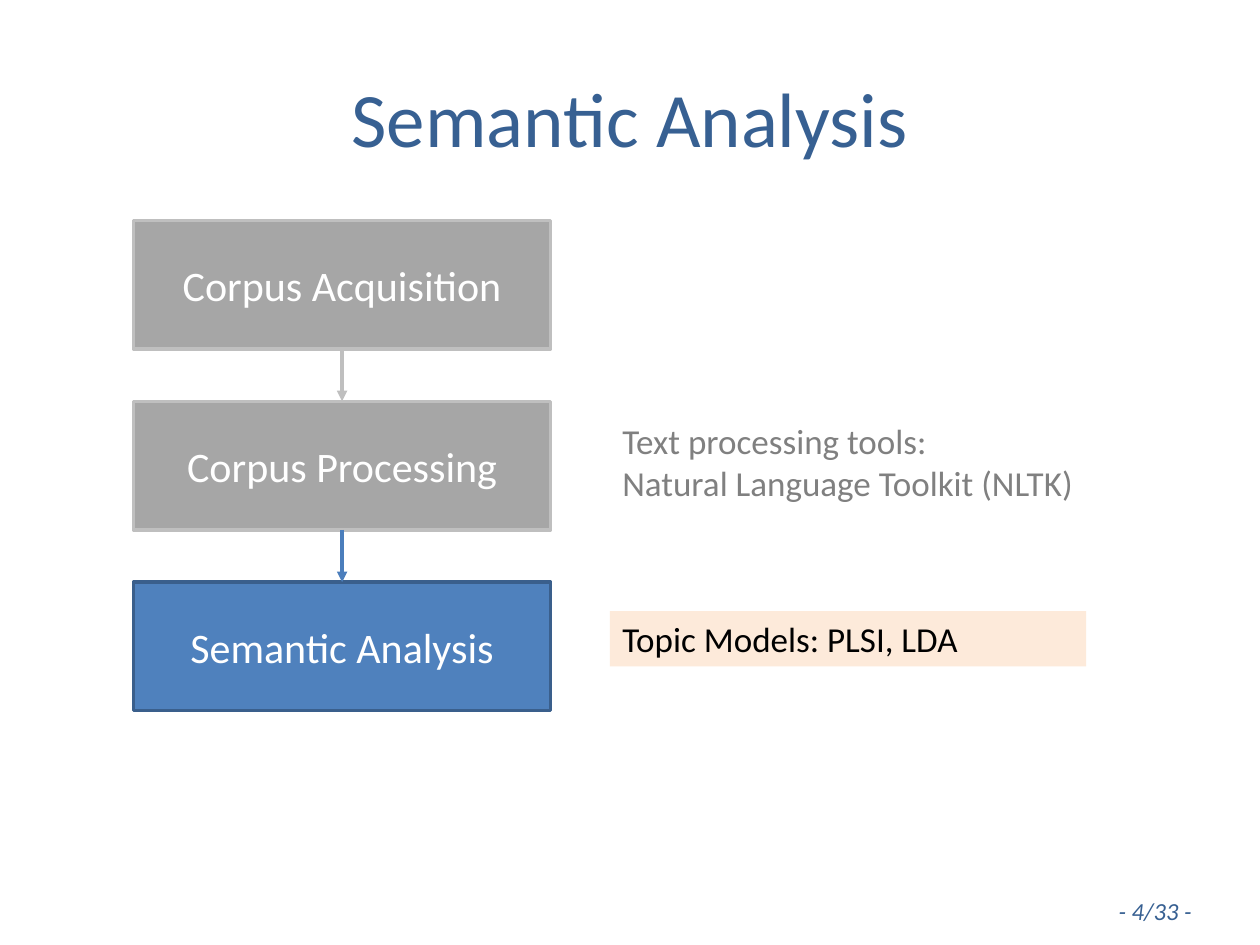
from lxml import etree
from pptx import Presentation
from pptx.dml.color import RGBColor
from pptx.enum.shapes import MSO_CONNECTOR, MSO_SHAPE
from pptx.enum.text import MSO_ANCHOR, PP_ALIGN
from pptx.oxml.ns import qn
from pptx.util import Inches, Pt

FONT = "Calibri"
TITLE_BLUE = RGBColor(0x37, 0x60, 0x92)
STEP_BLUE = RGBColor(0x4F, 0x81, 0xBD)
STEP_BORDER = RGBColor(0x3A, 0x5F, 0x8C)
ARROW_BLUE = RGBColor(0x4B, 0x7E, 0xBC)
STEP_GRAY = RGBColor(0xA6, 0xA6, 0xA6)
LIGHT_GRAY = RGBColor(0xBF, 0xBF, 0xBF)
NOTE_GRAY = RGBColor(0x80, 0x80, 0x80)
PEACH = RGBColor(0xFD, 0xEA, 0xDA)
BLACK = RGBColor(0, 0, 0)
WHITE = RGBColor(0xFF, 0xFF, 0xFF)

# label, fill, border, colour of the arrow leading in
STEPS = [
    ("Corpus Acquisition", STEP_GRAY, LIGHT_GRAY, None),
    ("Corpus Processing", STEP_GRAY, LIGHT_GRAY, LIGHT_GRAY),
    ("Semantic Analysis", STEP_BLUE, STEP_BORDER, ARROW_BLUE),
]


def write(shape, text, size, color, align=PP_ALIGN.LEFT, anchor=MSO_ANCHOR.TOP,
          italic=False, wrap=True):
    frame = shape.text_frame
    frame.text = text
    frame.word_wrap = wrap
    frame.vertical_anchor = anchor
    for paragraph in frame.paragraphs:
        paragraph.alignment = align
        font = paragraph.font
        font.name, font.size, font.italic = FONT, Pt(size), italic
        font.color.rgb = color


def add_title(slide, text, left, top, width, height):
    title = slide.shapes.title
    title.left, title.top, title.width, title.height = left, top, width, height
    write(title, text, 44, TITLE_BLUE, PP_ALIGN.CENTER, MSO_ANCHOR.MIDDLE)


def add_step(slide, label, fill, border, left, top, width, height):
    step = slide.shapes.add_shape(MSO_SHAPE.RECTANGLE, left, top, width, height)
    step.shadow.inherit = False
    step.fill.solid()
    step.fill.fore_color.rgb = fill
    step.line.color.rgb = border
    step.line.width = Pt(2)
    write(step, label, 24, WHITE, PP_ALIGN.CENTER, MSO_ANCHOR.MIDDLE)
    return step


def add_arrow(slide, upper, lower, color):
    arrow = slide.shapes.add_connector(MSO_CONNECTOR.STRAIGHT, 0, 0, 0, 0)
    arrow.begin_connect(upper, 2)
    arrow.end_connect(lower, 0)
    arrow.line.color.rgb = color
    arrow.line.width = Pt(2)
    etree.SubElement(arrow.line._get_or_add_ln(), qn("a:tailEnd"), type="triangle")
    etree.SubElement(arrow._element.spPr, qn("a:effectLst"))


def add_pipeline(slide, left, top, width, height):
    """Stack the steps in the box and join each to the next with an arrow."""
    step_height = Inches(1.02)
    pitch = (height - step_height) // (len(STEPS) - 1)
    previous = None
    for index, (label, fill, border, arrow_color) in enumerate(STEPS):
        step = add_step(slide, label, fill, border,
                        left, top + index * pitch, width, step_height)
        if previous is not None:
            add_arrow(slide, previous, step, arrow_color)
        previous = step


def add_note(slide, text, color, left, top, width, height, fill=None):
    note = slide.shapes.add_textbox(left, top, width, height)
    if fill is not None:
        note.fill.solid()
        note.fill.fore_color.rgb = fill
    write(note, text, 20, color)


def add_page_number(slide, text, left, top, width, height):
    number = slide.shapes.add_textbox(left, top, width, height)
    write(number, text, 14, TITLE_BLUE, italic=True, wrap=False)


def main():
    presentation = Presentation()
    presentation.slide_width, presentation.slide_height = Inches(10), Inches(7.5)
    slide = presentation.slides.add_slide(presentation.slide_layouts[5])

    add_page_number(slide, "- 4/33 -", Inches(8.78), Inches(7.06), Inches(0.92), Inches(0.34))
    add_title(slide, "Semantic Analysis", Inches(0.5), Inches(0.3), Inches(9), Inches(1.25))
    add_pipeline(slide, Inches(1.06), Inches(1.75), Inches(3.31), Inches(3.89))
    note_left, note_width = Inches(4.84), Inches(3.78)
    add_note(slide, "Text processing tools:\nNatural Language Toolkit (NLTK)", NOTE_GRAY,
             note_left, Inches(3.28), note_width, Inches(0.77))
    add_note(slide, "Topic Models: PLSI, LDA", BLACK,
             note_left, Inches(4.85), note_width, Inches(0.44), fill=PEACH)

    presentation.save("out.pptx")


if __name__ == "__main__":
    main()
